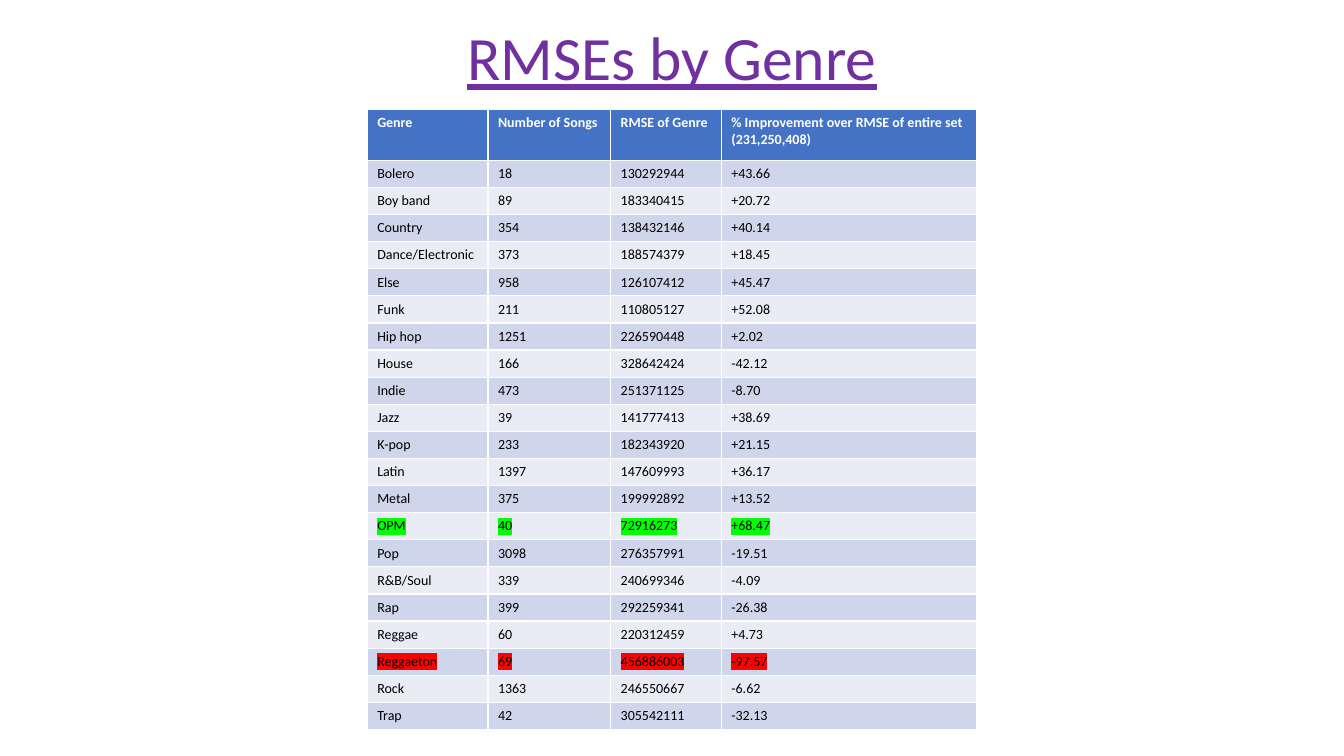
from lxml.etree import SubElement
from pptx import Presentation
from pptx.dml.color import RGBColor
from pptx.enum.text import MSO_ANCHOR, MSO_AUTO_SIZE, PP_ALIGN
from pptx.oxml.ns import qn
from pptx.util import Pt

FONT = "Calibri"
PURPLE = RGBColor(0x70, 0x30, 0xA0)
BLUE = RGBColor(0x44, 0x72, 0xC4)
DARK_BAND = RGBColor(0xCF, 0xD5, 0xEA)
LIGHT_BAND = RGBColor(0xE9, 0xEB, 0xF5)
WHITE = RGBColor(0xFF, 0xFF, 0xFF)
BLACK = RGBColor(0x00, 0x00, 0x00)
GREEN = RGBColor(0x00, 0xFF, 0x00)
RED = RGBColor(0xFF, 0x00, 0x00)

HEADINGS = (
    "Genre",
    "Number of Songs",
    "RMSE of Genre",
    "% Improvement over RMSE of entire set (231,250,408)",
)
GENRES = [
    ("Bolero", "18", "130292944", "+43.66"),
    ("Boy band", "89", "183340415", "+20.72"),
    ("Country", "354", "138432146", "+40.14"),
    ("Dance/Electronic", "373", "188574379", "+18.45"),
    ("Else", "958", "126107412", "+45.47"),
    ("Funk", "211", "110805127", "+52.08"),
    ("Hip hop", "1251", "226590448", "+2.02"),
    ("House", "166", "328642424", "-42.12"),
    ("Indie", "473", "251371125", "-8.70"),
    ("Jazz", "39", "141777413", "+38.69"),
    ("K-pop", "233", "182343920", "+21.15"),
    ("Latin", "1397", "147609993", "+36.17"),
    ("Metal", "375", "199992892", "+13.52"),
    ("OPM", "40", "72916273", "+68.47"),
    ("Pop", "3098", "276357991", "-19.51"),
    ("R&B/Soul", "339", "240699346", "-4.09"),
    ("Rap", "399", "292259341", "-26.38"),
    ("Reggae", "60", "220312459", "+4.73"),
    ("Reggaeton", "69", "456886003", "-97.57"),
    ("Rock", "1363", "246550667", "-6.62"),
    ("Trap", "42", "305542111", "-32.13"),
]
HIGHLIGHTS = {"OPM": GREEN, "Reggaeton": RED}
COLUMN_SHARES = (1.2, 1.22, 1.1, 2.54)
HEADER_HEIGHT = 36.5


def add_span(para, text, size, color, bold=False):
    """Append a formatted run to the paragraph and return it."""
    span = para.add_run()
    span.text = text
    span.font.name = FONT
    span.font.size = Pt(size)
    span.font.bold = bold
    span.font.color.rgb = color
    return span


def highlight(span, color):
    """Mark the run with a highlight colour, placed right after its fill."""
    properties = span.font._element
    mark = SubElement(properties, qn("a:highlight"))
    SubElement(mark, qn("a:srgbClr"), val=str(color))
    properties.find(qn("a:solidFill")).addnext(mark)


def place_title(page, left, top, width, height):
    """Move the title placeholder into the box and fill it."""
    title = page.shapes.title
    title.left, title.top = Pt(left), Pt(top)
    title.width, title.height = Pt(width), Pt(height)
    frame = title.text_frame
    frame.auto_size = MSO_AUTO_SIZE.NONE
    frame.vertical_anchor = MSO_ANCHOR.MIDDLE
    para = frame.paragraphs[0]
    para.alignment = PP_ALIGN.CENTER
    para.line_spacing = 0.9
    add_span(para, "RMSEs by Genre", 44, PURPLE).font.underline = True


def fill_row(cells, texts, fill, color, bold=False, mark=None):
    """Write one table row in a single style."""
    for cell, text in zip(cells, texts):
        cell.fill.solid()
        cell.fill.fore_color.rgb = fill
        span = add_span(cell.text_frame.paragraphs[0], text, 10, color, bold)
        if mark is not None:
            highlight(span, mark)


def place_genre_table(page, left, top, width, height):
    """Add the genre table to the box, sharing out its width and height."""
    box = page.shapes.add_table(
        len(GENRES) + 1, len(HEADINGS), Pt(left), Pt(top), Pt(width), Pt(height)
    )
    table = box.table
    for column, share in zip(table.columns, COLUMN_SHARES):
        column.width = Pt(width * share / sum(COLUMN_SHARES))
    header, *body = table.rows
    header.height = Pt(HEADER_HEIGHT)
    fill_row(header.cells, HEADINGS, BLUE, WHITE, bold=True)
    for index, (row, texts) in enumerate(zip(body, GENRES)):
        row.height = Pt((height - HEADER_HEIGHT) / len(GENRES))
        band = LIGHT_BAND if index % 2 else DARK_BAND
        fill_row(row.cells, texts, band, BLACK, mark=HIGHLIGHTS.get(texts[0]))


def main():
    """Build the slide and save it."""
    deck = Presentation()
    deck.slide_width, deck.slide_height = Pt(960), Pt(540)
    page = deck.slides.add_slide(deck.slide_layouts[5])
    place_title(page, 66, 16, 828, 54.5)
    place_genre_table(page, 262.3, 78, 435.6, 443)
    deck.save("out.pptx")


if __name__ == "__main__":
    main()
